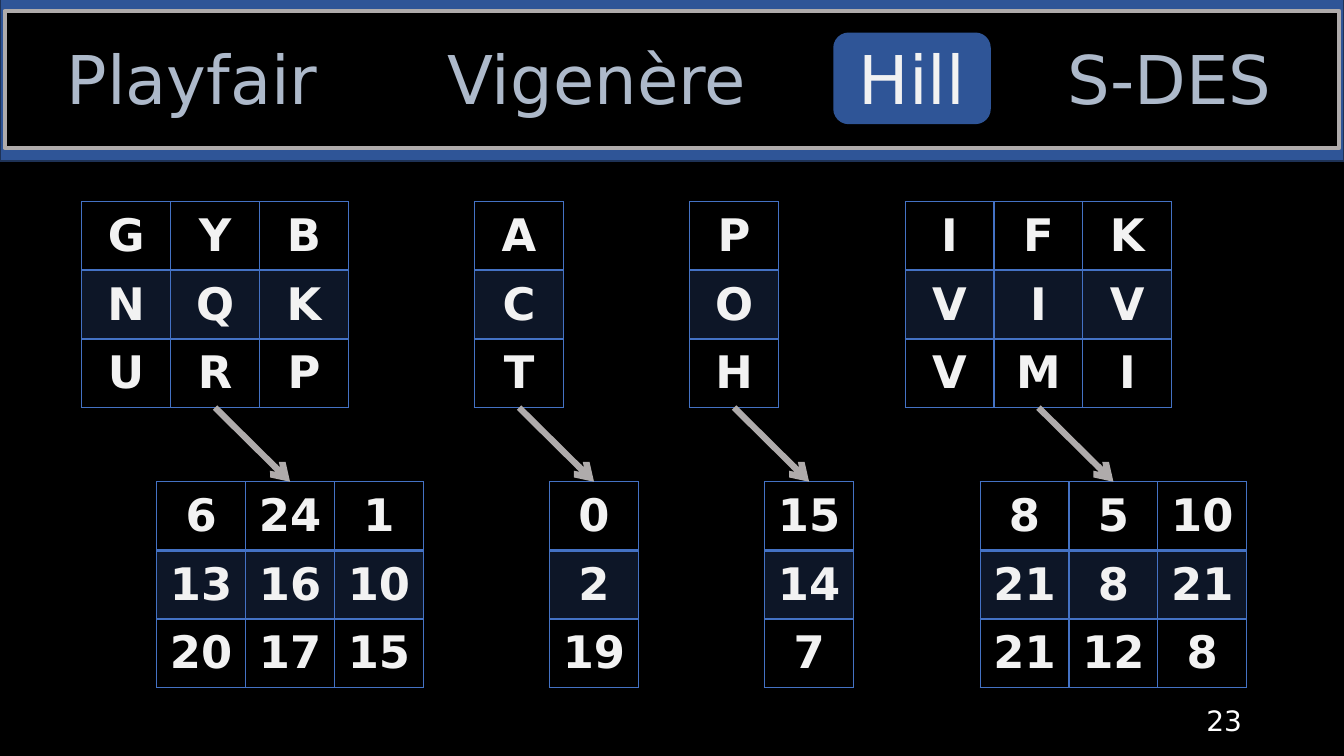
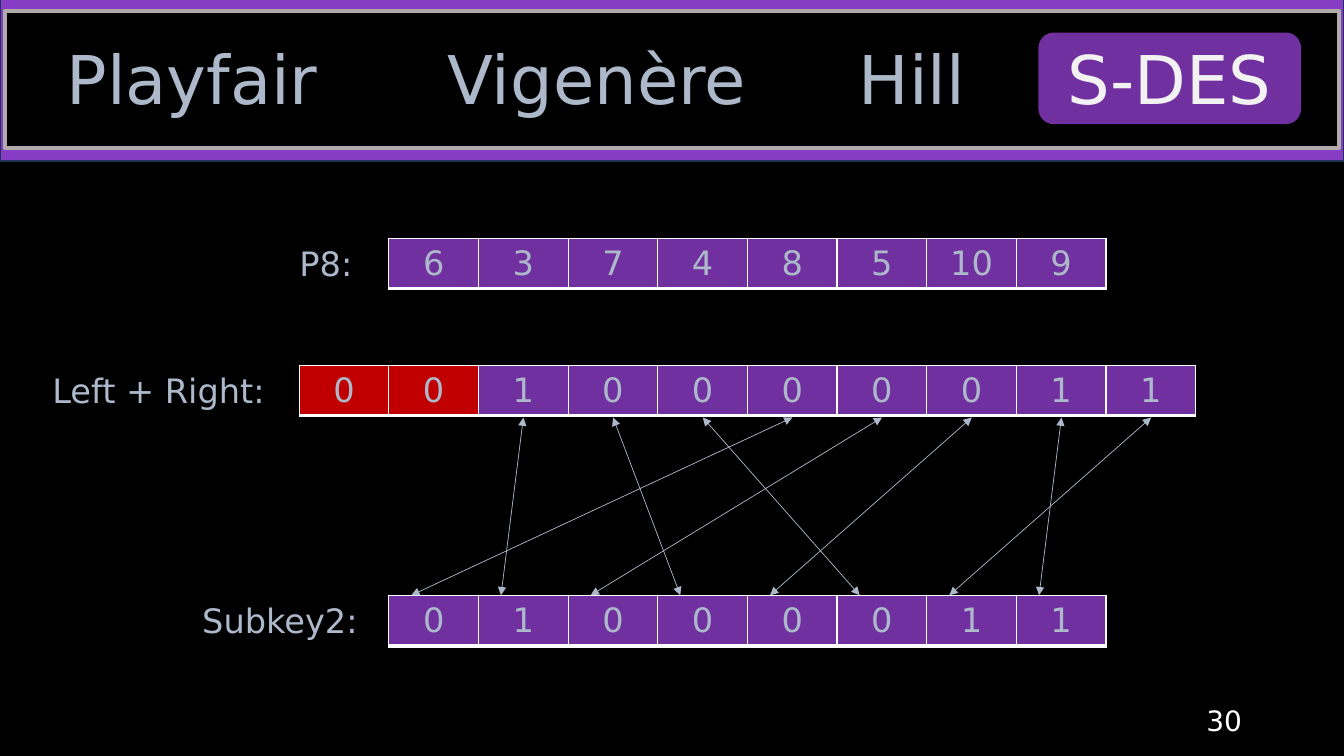
import pptx
import pptx.dml.color
import pptx.enum.shapes
import pptx.enum.text
import pptx.oxml.ns
import pptx.util
from lxml import etree
from pptx.util import Cm, Pt

FONT = "DejaVu Sans"
BLACK, WHITE, PALE = "000000", "FFFFFF", "F2F2F2"
STEEL, SILVER, NAVY = "ADB9CA", "AFABAB", "1E3256"
BLUE, GRID_BLUE = "2F5597", "4472C4"
VIOLET, PURPLE, RED = "863CC4", "7030A0", "C00000"

SLIDE_WIDTH, SLIDE_HEIGHT = 33.87, 19.05
# Cipher name, left edge and width of its tab
TABS = [("Playfair", 0.62, 8.45), ("Vigenère", 10.29, 9.5),
        ("Hill", 21, 3.97), ("S-DES", 26.17, 6.62)]
CENTER = pptx.enum.text.PP_ALIGN.CENTER
MIDDLE = pptx.enum.text.MSO_ANCHOR.MIDDLE
RECTANGLE = pptx.enum.shapes.MSO_SHAPE.RECTANGLE
ROUNDED = pptx.enum.shapes.MSO_SHAPE.ROUNDED_RECTANGLE


def rgb(color):
    return pptx.dml.color.RGBColor.from_string(color)


def add_xml(parent, tag, **attributes):
    return etree.SubElement(parent, pptx.oxml.ns.qn(tag), attributes)


def write(frame, text, size, color, align=CENTER, bold=False):
    paragraph = frame.paragraphs[0]
    paragraph.text = text
    paragraph.alignment = align
    paragraph.font.name = FONT
    paragraph.font.size = Pt(size)
    paragraph.font.bold = bold
    paragraph.font.color.rgb = rgb(color)


def add_label(slide, box, text, size, color, align=CENTER, anchor=None):
    frame = slide.shapes.add_textbox(*map(Cm, box)).text_frame
    frame.word_wrap = True
    frame.vertical_anchor = anchor
    write(frame, text, size, color, align)


def add_panel(slide, kind, box, fill, outline=None, weight=1):
    panel = slide.shapes.add_shape(kind, *map(Cm, box))
    panel.shadow.inherit = False
    panel.fill.solid()
    panel.fill.fore_color.rgb = rgb(fill)
    if outline:
        panel.line.color.rgb = rgb(outline)
        panel.line.width = Pt(weight)
    else:
        panel.line.fill.background()


def add_arrow(slide, start, end, color, weight, **heads):
    """Draw a line; heads maps headEnd / tailEnd to an arrowhead type."""
    arrow = slide.shapes.add_connector(
        pptx.enum.shapes.MSO_CONNECTOR.STRAIGHT, *map(Cm, start + end))
    arrow.line.color.rgb = rgb(color)
    arrow.line.width = Pt(weight)
    properties = arrow._element.spPr
    line = properties.find(pptx.oxml.ns.qn("a:ln"))
    for place, head in heads.items():
        add_xml(line, f"a:{place}", type=head)
    add_xml(properties, "a:effectLst")


def style_cell(cell, fill, alpha, border, weights):
    """Set borders (left, right, top, bottom weights) and then the fill."""
    properties = cell._tc.get_or_add_tcPr()
    for side, weight in zip("LRTB", weights):
        line = add_xml(properties, f"a:ln{side}", w=str(Pt(weight)))
        add_xml(add_xml(line, "a:solidFill"), "a:srgbClr", val=border)
    if fill is None:
        cell.fill.background()
        return
    cell.fill.solid()
    cell.fill.fore_color.rgb = rgb(fill)
    if alpha < 100:
        color = properties.find(pptx.oxml.ns.qn("a:solidFill"))[0]
        add_xml(color, "a:alpha", val=str(alpha * 1000))


def add_grid(slide, left, top, cell_size, rows, fill_of, border, rule,
             size, color, bold=False, alpha=100):
    """Add a table; rule is the weight of the line under its first row."""
    width, height = cell_size
    columns = len(rows[0])
    table = slide.shapes.add_table(
        len(rows), columns, Cm(left), Cm(top),
        Cm(width * columns), Cm(height * len(rows))).table
    table.first_row = table.horz_banding = False
    for column in table.columns:
        column.width = Cm(width)
    for r, row in enumerate(rows):
        table.rows[r].height = Cm(height)
        weights = (1, 1, rule if r == 1 else 1, rule if r == 0 else 1)
        for c, value in enumerate(row):
            cell = table.cell(r, c)
            cell.vertical_anchor = MIDDLE
            style_cell(cell, fill_of(r, c), alpha, border, weights)
            write(cell.text_frame, str(value), size, color, bold=bold)


def add_header(slide, active, band, pill):
    add_panel(slide, RECTANGLE, (0, -0.05, SLIDE_WIDTH, 4.11), band, NAVY)
    add_panel(slide, RECTANGLE, (0.12, 0.28, 33.63, 3.45), BLACK, SILVER, 3)
    for name, left, width in TABS:
        box = (left, 0.82, width, 2.31)
        if name == active:
            add_panel(slide, ROUNDED, box, pill)
        add_label(slide, box, name, 48, PALE if name == active else STEEL)


def add_cipher_slide(deck, active, band, pill, number):
    slide = deck.slides.add_slide(deck.slide_layouts[6])
    slide.background.fill.solid()
    slide.background.fill.fore_color.rgb = rgb(BLACK)
    add_header(slide, active, band, pill)
    add_label(slide, (23.93, 17.65, 7.62, 1.02), str(number), 20, WHITE,
              pptx.enum.text.PP_ALIGN.RIGHT, MIDDLE)
    return slide


def add_encoding(slide, left, top, letters):
    """Place a letter matrix, and below it the same matrix as numbers (A = 0)."""
    cell_size = (2.24, 1.73)
    shift, drop = 1.89, 7.06
    numbers = [[ord(letter) - ord("A") for letter in row] for row in letters]
    for x, y, rows in [(left, top, letters),
                       (left + shift, top + drop, numbers)]:
        add_grid(slide, x, y, cell_size, rows,
                 lambda r, c: GRID_BLUE if r == 1 else None,
                 GRID_BLUE, 2, 32, PALE, bold=True, alpha=20)
    middle = left + cell_size[0] * len(letters[0]) / 2
    add_arrow(slide, (middle, top + cell_size[1] * len(letters)),
              (middle + shift, top + drop), SILVER, 4.5, tailEnd="arrow")


def add_hill_slide(deck):
    slide = add_cipher_slide(deck, "Hill", BLUE, BLUE, 23)
    for left, letters in [(2.06, ["GYB", "NQK", "URP"]),
                          (11.96, ["A", "C", "T"]),
                          (17.38, ["P", "O", "H"]),
                          (22.81, ["IFK", "VIV", "VMI"])]:
        add_encoding(slide, left, 5.08, letters)


def add_bit_row(slide, left, top, cell_size, label, label_width, values,
                dropped=0):
    """Place a row of values, its label to the left, dropped bits in red."""
    add_label(slide, (left - label_width, top, label_width, cell_size[1]),
              label, 24, STEEL)
    add_grid(slide, left, top, cell_size, [values],
             lambda r, c: RED if c < dropped else PURPLE,
             WHITE, 3, 24, STEEL)


def add_sdes_slide(deck):
    slide = add_cipher_slide(deck, "S-DES", VIOLET, PURPLE, 30)
    permutation = [6, 3, 7, 4, 8, 5, 10, 9]
    halves = [0, 0, 1, 0, 0, 0, 0, 0, 1, 1]
    subkey = [halves[position - 1] for position in permutation]

    cell_size = width, height = 2.26, 1.27
    left, halves_top, subkey_top = 9.8, 9.2, 15
    halves_left = left - width
    add_bit_row(slide, left, 6, cell_size, "P8: ", 2.9, permutation)
    add_bit_row(slide, halves_left, halves_top, cell_size,
                "Left + Right:", 7.09, halves, dropped=2)
    add_bit_row(slide, left, subkey_top, cell_size, "Subkey2:", 5.49, subkey)

    for index, position in enumerate(permutation):
        add_arrow(slide,
                  (halves_left + width * (position - 0.5),
                   halves_top + height + 0.05),
                  (left + width * (index + 0.25), subkey_top),
                  STEEL, 0.5, headEnd="triangle", tailEnd="triangle")


def main():
    deck = pptx.Presentation()
    deck.slide_width, deck.slide_height = Cm(SLIDE_WIDTH), Cm(SLIDE_HEIGHT)
    add_hill_slide(deck)
    add_sdes_slide(deck)
    deck.save("out.pptx")


if __name__ == "__main__":
    main()
